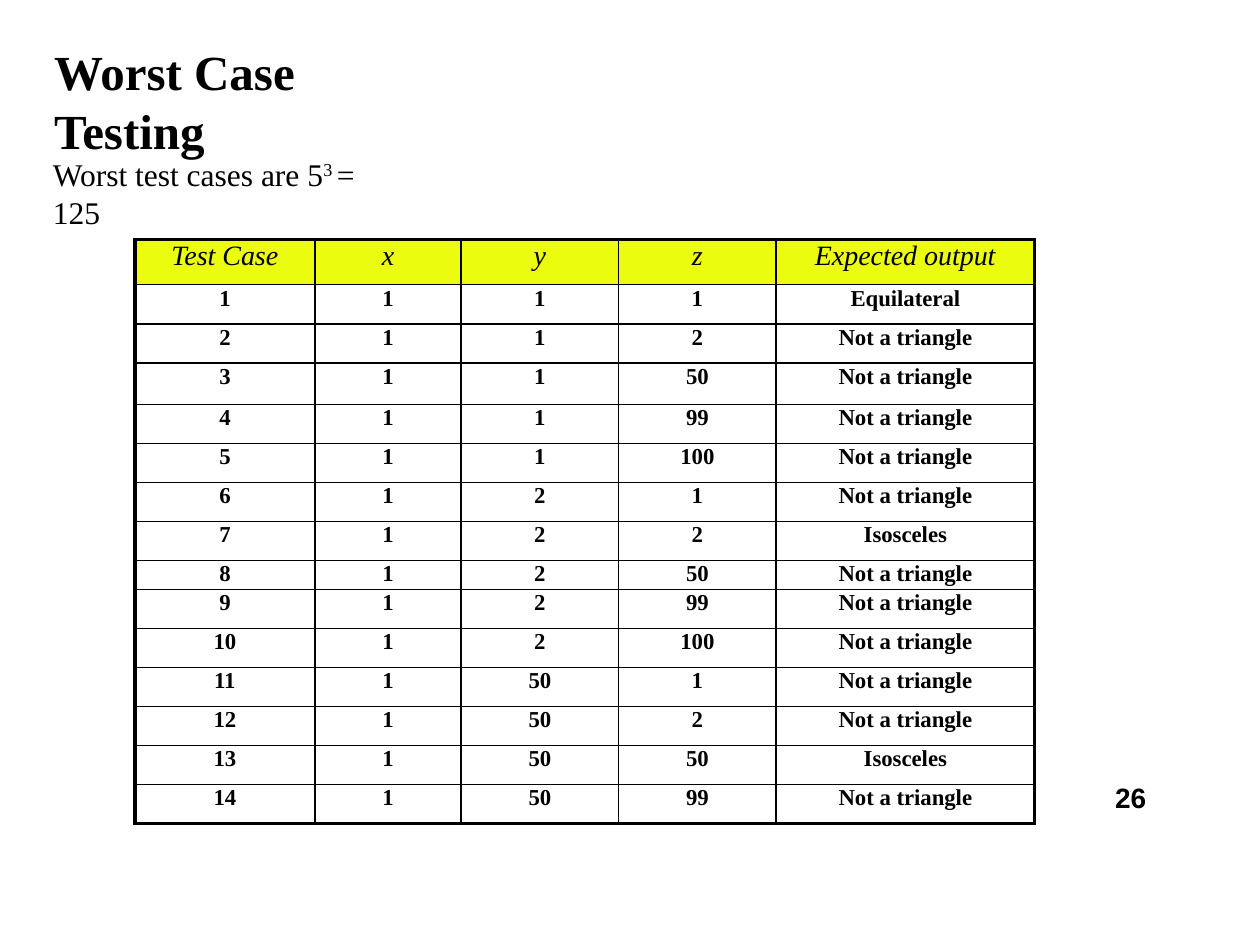
from itertools import islice, product

from lxml.etree import SubElement
from pptx import Presentation
from pptx.dml.color import RGBColor
from pptx.enum.text import MSO_AUTO_SIZE, PP_ALIGN
from pptx.oxml.ns import qn
from pptx.util import Inches, Pt

BLACK = RGBColor(0x00, 0x00, 0x00)
YELLOW = RGBColor(0xEB, 0xFC, 0x0E)
SERIF = "Times New Roman"
SANS = "Arial"

# The slide is a grid of 100 columns by 75 rows of square units.
UNIT = Inches(0.1)
SLIDE_COLUMNS, SLIDE_ROWS = 100, 75

HEADINGS = ["Test Case", "x", "y", "z", "Expected output"]
COLUMN_WIDTHS = [14.3, 11.6, 12.5, 12.5, 20.5]
HEADER_HEIGHT, CASE_HEIGHT = 3.6, 3.1
SPECIAL_HEIGHTS = {3: 3.3, 8: 2.2}
BOUNDARY_VALUES = [1, 2, 50, 99, 100]
CASES_SHOWN = 14
INNER_LINE, OUTER_LINE = Pt(1), Pt(2.25)


def units(count):
    return round(count * UNIT)


def add_span(para, text, size, font=SERIF, bold=False, italic=False):
    span = para.add_run()
    span.text = text
    span.font.name = font
    span.font.size = Pt(size)
    span.font.bold = bold
    span.font.italic = italic
    span.font.color.rgb = BLACK
    return span


def add_text_box(page, box, indent=0, top_inset=0):
    """Add an empty wrapping text box and return its first paragraph."""
    frame = page.shapes.add_textbox(*map(units, box)).text_frame
    frame.word_wrap = True
    frame.auto_size = MSO_AUTO_SIZE.SHAPE_TO_FIT_TEXT
    frame.margin_left = frame.margin_right = frame.margin_bottom = 0
    frame.margin_top = units(top_inset)
    para = frame.paragraphs[0]
    para._p.get_or_add_pPr().set("marL", str(units(indent)))
    return para


def add_title(page, box):
    para = add_text_box(page, box, indent=0.1, top_inset=0.1)
    add_span(para, "Worst Case Testing", 28, bold=True)


def add_case_count(page, box):
    para = add_text_box(page, box, indent=0.4, top_inset=0.1)
    add_span(para, "Worst test cases are 5", 18)
    exponent = add_span(para, "3 ", 18)
    exponent._r.get_or_add_rPr().set("baseline", "30000")
    add_span(para, "= 125", 18)


def add_page_number(page, box):
    para = add_text_box(page, box, indent=0.4)
    para.line_spacing = 1.17
    add_span(para, "26", 16, font=SANS, bold=True)


def expected_output(sides):
    short, middle, long = sorted(sides)
    if short + middle <= long:
        return "Not a triangle"
    return {1: "Equilateral", 2: "Isosceles", 3: "Scalene"}[len(set(sides))]


def worst_cases():
    cases = islice(product(BOUNDARY_VALUES, repeat=3), CASES_SHOWN)
    return [[number, *sides, expected_output(sides)]
            for number, sides in enumerate(cases, start=1)]


def set_borders(cell, **widths):
    properties = cell._tc.get_or_add_tcPr()
    for side in "LRTB":
        line = SubElement(properties, qn(f"a:ln{side}"), w=str(widths[side]))
        fill = SubElement(line, qn("a:solidFill"))
        SubElement(fill, qn("a:srgbClr"), val=str(BLACK))


def fill_cell(cell, text, is_header):
    cell.margin_left = cell.margin_right = 0
    cell.margin_top = cell.margin_bottom = 0
    if is_header:
        cell.fill.solid()
        cell.fill.fore_color.rgb = YELLOW
    else:
        cell.fill.background()
    para = cell.text_frame.paragraphs[0]
    para.alignment = PP_ALIGN.CENTER
    para.line_spacing = 1.04 if is_header else 1.05
    add_span(para, str(text), 16 if is_header else 13,
             bold=not is_header, italic=is_header)


def add_case_table(page, box):
    records = [HEADINGS] + worst_cases()
    last_row, last_column = len(records) - 1, len(HEADINGS) - 1
    table = page.shapes.add_table(
        len(records), len(HEADINGS), *map(units, box)).table
    table.first_row = table.horz_banding = False

    _, _, width, height = box
    for column, share in zip(table.columns, COLUMN_WIDTHS):
        column.width = units(width * share / sum(COLUMN_WIDTHS))
    heights = [HEADER_HEIGHT] + [SPECIAL_HEIGHTS.get(number, CASE_HEIGHT)
                                 for number in range(1, len(records))]
    for row, share in zip(table.rows, heights):
        row.height = units(height * share / sum(heights))

    for i, record in enumerate(records):
        for j, text in enumerate(record):
            cell = table.cell(i, j)
            set_borders(cell,
                        L=OUTER_LINE if j == 0 else INNER_LINE,
                        R=OUTER_LINE if j == last_column else INNER_LINE,
                        T=OUTER_LINE if i == 0 else INNER_LINE,
                        B=OUTER_LINE if i == last_row else INNER_LINE)
            fill_cell(cell, text, is_header=i == 0)


def main():
    deck = Presentation()
    deck.slide_width = units(SLIDE_COLUMNS)
    deck.slide_height = units(SLIDE_ROWS)
    page = deck.slides.add_slide(deck.slide_layouts[6])
    add_title(page, (4.2, 3.2, 32, 4.9))
    add_case_count(page, (3.8, 12.2, 28.5, 3.3))
    add_case_table(page, (10.7, 19, 71.4, 46.3))
    add_page_number(page, (88.1, 61.5, 4.1, 2.8))
    deck.save("out.pptx")


if __name__ == "__main__":
    main()
